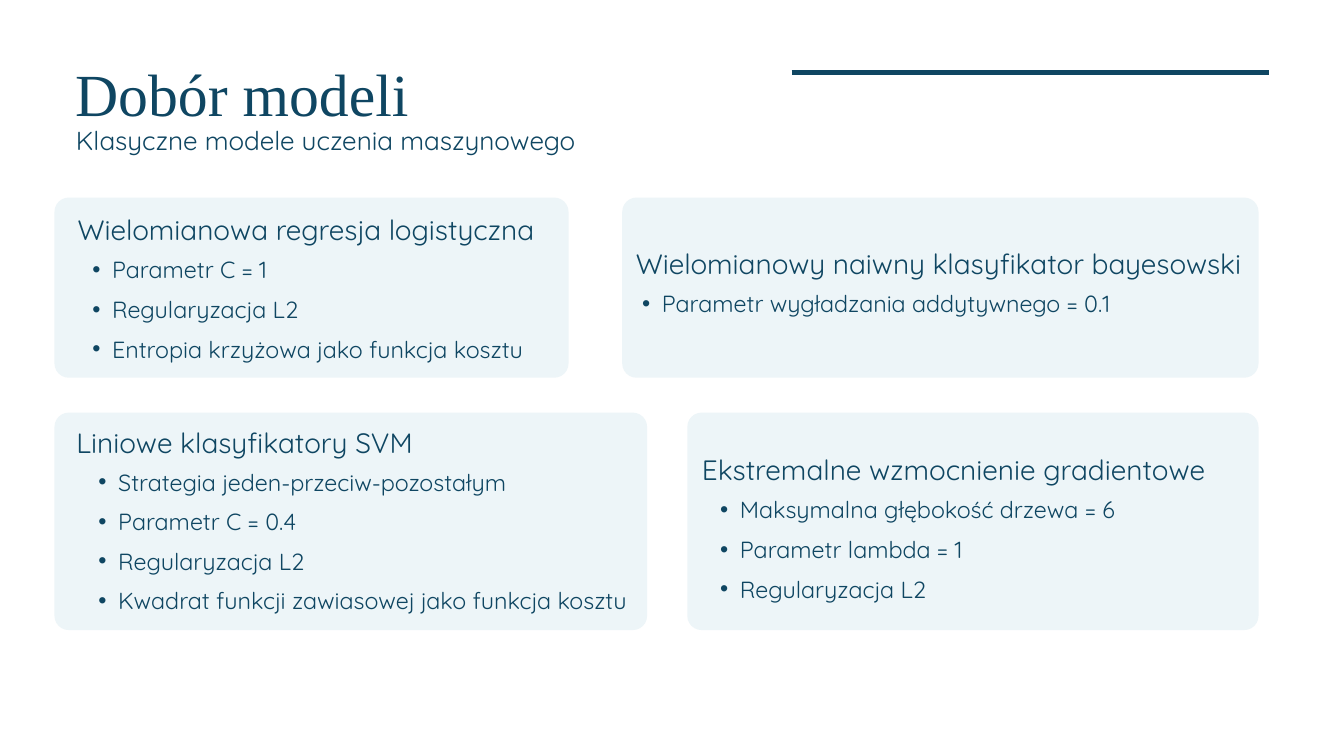
from dataclasses import dataclass

from lxml.etree import SubElement
from pptx import Presentation
from pptx.dml.color import RGBColor
from pptx.enum.shapes import MSO_CONNECTOR, MSO_SHAPE
from pptx.enum.text import MSO_AUTO_SIZE, PP_ALIGN
from pptx.oxml.ns import qn
from pptx.util import Cm, Pt


@dataclass(frozen=True)
class Theme:
    ink: RGBColor = RGBColor(0x0F, 0x46, 0x62)
    card: RGBColor = RGBColor(0xED, 0xF5, 0xF8)
    serif: str = "Times New Roman"
    sans: str = "Quicksand"
    # (type size, line height) in points
    title: tuple = (64, 89.6)
    subtitle: tuple = (28, 39.2)
    heading: tuple = (30, 51)
    bullet: tuple = (25, 42.5)


THEME = Theme()

# Content
TITLE = "Dobór modeli"
SUBTITLE = "Klasyczne modele uczenia maszynowego"

# Each model: card width, heading box (left, top, width), bullets' left; in cm
MODEL_ROWS = [
    {"top": 7.47, "height": 6.81, "models": [
        {"name": "Wielomianowa regresja logistyczna",
         "settings": ["Parametr C = 1", "Regularyzacja L2",
                      "Entropia krzyżowa jako funkcja kosztu"],
         "width": 19.43, "heading": (2.84, 7.52, 17.45), "bullets_left": 2.74},
        {"name": "Wielomianowy naiwny klasyfikator bayesowski",
         "settings": ["Parametr wygładzania addytywnego = 0.1"],
         "width": 24.05, "heading": (23.9, 8.79, 23.16), "bullets_left": 23.52},
    ]},
    {"top": 15.6, "height": 8.22, "models": [
        {"name": "Liniowe klasyfikatory SVM",
         "settings": ["Strategia jeden-przeciw-pozostałym", "Parametr C = 0.4",
                      "Regularyzacja L2",
                      "Kwadrat funkcji zawiasowej jako funkcja kosztu"],
         "width": 22.4, "heading": (2.87, 15.54, 12.75), "bullets_left": 2.97},
        {"name": "Ekstremalne wzmocnienie gradientowe",
         "settings": ["Maksymalna głębokość drzewa = 6", "Parametr lambda = 1",
                      "Regularyzacja L2"],
         "width": 21.59, "heading": (26.47, 16.59, 19.15), "bullets_left": 26.47},
    ]},
]

# Layout, in cm
CARDS_LEFT, CARDS_RIGHT = 2.06, 47.57
CARD_RADIUS = 0.54
HEADING_HEIGHT, BULLETS_DROP = 1.65, 1.7
BULLETS_WIDTH, BULLET_HEIGHT = 22.17, 1.5
BULLET_INDENT, BULLET_HANG = 1.5, 0.75


def add_text(slide, lines, *, left, top, width, height, style,
             font=THEME.sans, align=PP_ALIGN.LEFT, bullets=False):
    frame = slide.shapes.add_textbox(Cm(left), Cm(top), Cm(width), Cm(height)).text_frame
    frame.word_wrap = True
    frame.auto_size = MSO_AUTO_SIZE.SHAPE_TO_FIT_TEXT
    frame.margin_left = frame.margin_right = frame.margin_top = frame.margin_bottom = 0
    size, line_height = style
    for index, line in enumerate(lines):
        paragraph = frame.add_paragraph() if index else frame.paragraphs[0]
        paragraph.alignment = align
        paragraph.line_spacing = Pt(line_height)
        run = paragraph.add_run()
        run.text = line
        run.font.size = Pt(size)
        run.font.name = font
        run.font.color.rgb = THEME.ink
        if bullets:
            paragraph.level = 1
            properties = paragraph._p.get_or_add_pPr()
            properties.set("marL", str(Cm(BULLET_INDENT)))
            properties.set("indent", str(-Cm(BULLET_HANG)))
            SubElement(properties, qn("a:buFont"), typeface="Arial")
            SubElement(properties, qn("a:buChar"), char="•")


def add_card(slide, left, top, width, height):
    card = slide.shapes.add_shape(MSO_SHAPE.ROUNDED_RECTANGLE,
                                  Cm(left), Cm(top), Cm(width), Cm(height))
    card.adjustments[0] = CARD_RADIUS / min(width, height)
    card.shadow.inherit = False
    card.fill.solid()
    card.fill.fore_color.rgb = THEME.card
    card.line.fill.background()


def add_model(slide, model, left, row):
    add_card(slide, left, row["top"], model["width"], row["height"])
    heading_left, heading_top, heading_width = model["heading"]
    add_text(slide, [model["name"]], left=heading_left, top=heading_top,
             width=heading_width, height=HEADING_HEIGHT,
             style=THEME.heading, align=PP_ALIGN.CENTER)
    settings = model["settings"]
    add_text(slide, settings, left=model["bullets_left"], top=heading_top + BULLETS_DROP,
             width=BULLETS_WIDTH, height=BULLET_HEIGHT * len(settings),
             style=THEME.bullet, bullets=True)


def main():
    deck = Presentation()
    deck.slide_width, deck.slide_height = Cm(50.8), Cm(28.58)
    slide = deck.slides.add_slide(deck.slide_layouts[6])

    # Accent rule
    rule = slide.shapes.add_connector(MSO_CONNECTOR.STRAIGHT,
                                      Cm(29.92), Cm(2.74), Cm(47.96), Cm(2.74))
    rule.line.color.rgb = THEME.ink
    rule.line.width = Pt(6)
    SubElement(rule._element.spPr, qn("a:effectLst"))

    # Title and subtitle
    add_text(slide, [TITLE], left=2.84, top=1.68, width=22.56, height=3.02,
             style=THEME.title, font=THEME.serif)
    add_text(slide, [SUBTITLE], left=2.87, top=4.5, width=23.11, height=1.37,
             style=THEME.subtitle)

    # Model cards: the first of each row sits left, the second right
    for row in MODEL_ROWS:
        first, second = row["models"]
        add_model(slide, first, CARDS_LEFT, row)
        add_model(slide, second, CARDS_RIGHT - second["width"], row)

    deck.save("out.pptx")


if __name__ == "__main__":
    main()
